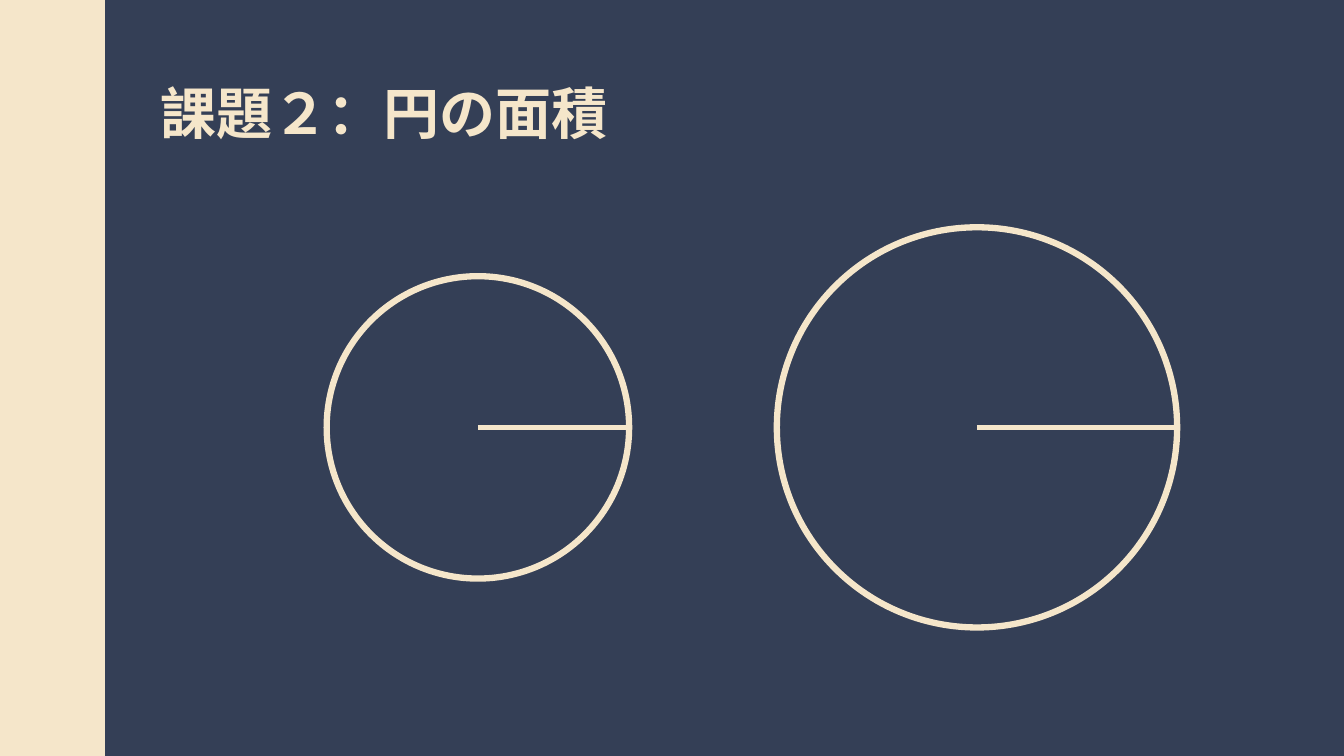
from dataclasses import dataclass

from lxml import etree
from pptx import Presentation
from pptx.dml.color import RGBColor
from pptx.enum.shapes import MSO_CONNECTOR, MSO_SHAPE
from pptx.enum.text import MSO_ANCHOR
from pptx.oxml.ns import qn
from pptx.util import Inches, Pt

NAVY = "343F56"
CREAM = "F5E6CA"
FONT = "Noto Sans CJK JP"
CENTER_Y = 4.24


@dataclass
class Circle:
    center_x: float
    radius: float


CIRCLES = [Circle(4.74, 1.5), Circle(9.69, 1.985)]


def rgb(color: str) -> RGBColor:
    return RGBColor.from_string(color)


def add_text(s, text: str, left: float, top: float, width: float, height: float, *,
             size: float, color: str, bold: bool = False, line_spacing: float = 1.0):
    tf = s.shapes.add_textbox(Inches(left), Inches(top), Inches(width), Inches(height)).text_frame
    tf.word_wrap = True
    tf.vertical_anchor = MSO_ANCHOR.BOTTOM
    p = tf.paragraphs[0]
    p.line_spacing = line_spacing
    r = p.add_run()
    r.text = text
    r.font.size = Pt(size)
    r.font.bold = bold
    r.font.name = FONT
    r.font.color.rgb = rgb(color)
    # East Asian typeface
    etree.SubElement(r.font._element, qn("a:ea"), typeface=FONT)


def add_outline(s, circle: Circle) -> None:
    size = Inches(2 * circle.radius)
    sp = s.shapes.add_shape(MSO_SHAPE.OVAL, Inches(circle.center_x - circle.radius),
                            Inches(CENTER_Y - circle.radius), size, size)
    sp.shadow.inherit = False
    sp.fill.background()
    sp.line.color.rgb = rgb(CREAM)
    sp.line.width = Pt(4.5)


def add_radius(s, circle: Circle) -> None:
    y = Inches(CENTER_Y)
    line = s.shapes.add_connector(MSO_CONNECTOR.STRAIGHT, Inches(circle.center_x), y,
                                  Inches(circle.center_x + circle.radius), y)
    line.line.color.rgb = rgb(CREAM)
    line.line.width = Pt(3.5)
    etree.SubElement(line._element.spPr, qn("a:effectLst"))


def main() -> None:
    prs = Presentation()
    prs.slide_width, prs.slide_height = Inches(13.33), Inches(7.5)
    s = prs.slides.add_slide(prs.slide_layouts[6])
    s.background.fill.solid()
    s.background.fill.fore_color.rgb = rgb(NAVY)

    # Title
    add_text(s, "課題２：円の面積", 1.49, -0.26, 11.94, 1.76,
             size=40, color=CREAM, bold=True, line_spacing=0.9)

    # Side band
    band = s.shapes.add_shape(MSO_SHAPE.RECTANGLE, 0, 0, Inches(1.04), prs.slide_height)
    band.shadow.inherit = False
    band.fill.solid()
    band.fill.fore_color.rgb = rgb(CREAM)
    band.line.fill.background()

    # Circles with their radii
    for circle in CIRCLES:
        add_outline(s, circle)
        add_radius(s, circle)

    prs.save("out.pptx")


if __name__ == "__main__":
    main()
